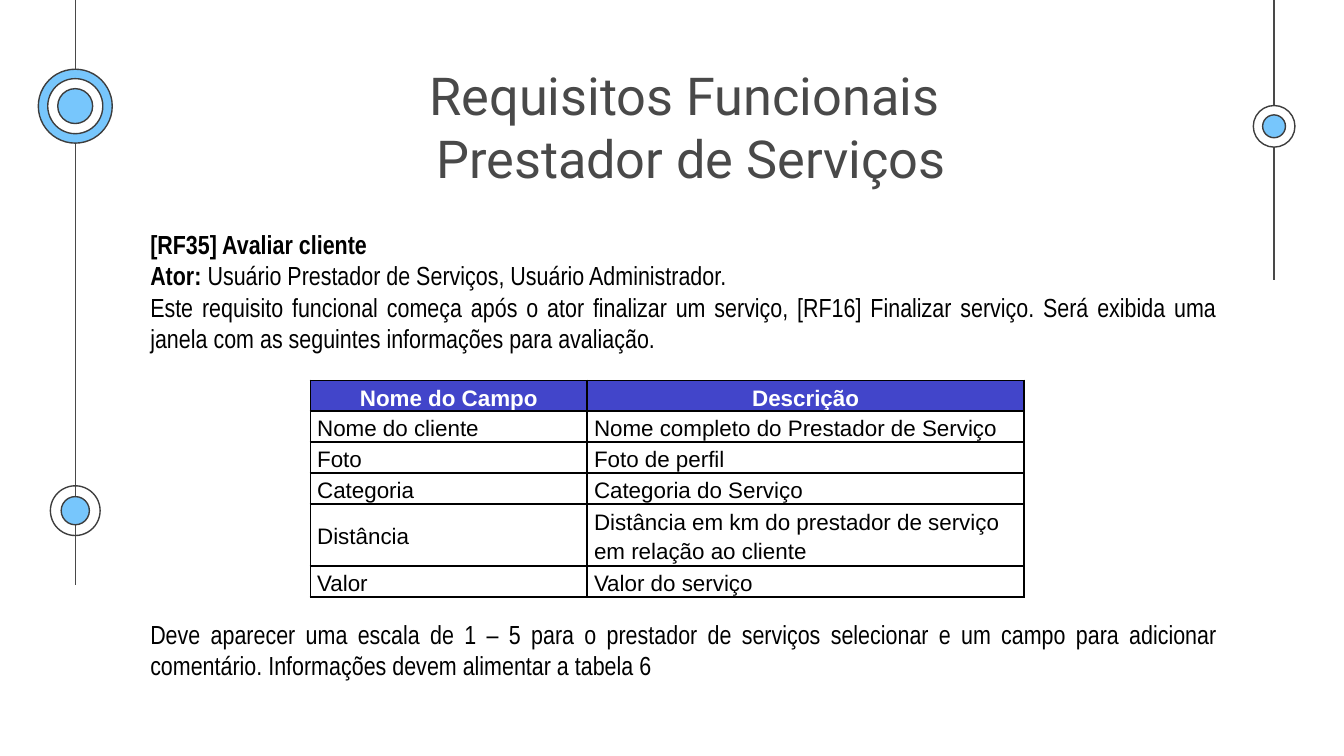
from dataclasses import dataclass

from lxml import etree
from pptx import Presentation
from pptx.dml.color import RGBColor
from pptx.enum.shapes import MSO_CONNECTOR, MSO_SHAPE
from pptx.enum.text import MSO_ANCHOR, MSO_AUTO_SIZE, PP_ALIGN
from pptx.oxml.ns import qn
from pptx.util import Inches, Pt

STRAIGHT = MSO_CONNECTOR.STRAIGHT
OVAL = MSO_SHAPE.OVAL
TOP, MIDDLE, BOTTOM = MSO_ANCHOR.TOP, MSO_ANCHOR.MIDDLE, MSO_ANCHOR.BOTTOM
NO_AUTOFIT, GROW = MSO_AUTO_SIZE.NONE, MSO_AUTO_SIZE.SHAPE_TO_FIT_TEXT
LEFT, CENTER, JUSTIFY = PP_ALIGN.LEFT, PP_ALIGN.CENTER, PP_ALIGN.JUSTIFY
TITLE_ONLY = 5
SLIDE_WIDTH = Inches(10)
SLIDE_HEIGHT = SLIDE_WIDTH * 9 // 16


@dataclass(frozen=True)
class Theme:
    gray: str = "494949"
    outline: str = "3D3D3D"
    sky: str = "77C6FC"
    header: str = "4245CA"
    white: str = "FFFFFF"
    black: str = "000000"
    title_font: str = "Roboto"
    body_font: str = "Arial Narrow"
    table_font: str = "Arial"
    title_size: int = 28
    body_size: int = 14
    table_size: int = 12
    stroke: float = 0.75
    border: float = 1


THEME = Theme()
LEFT_AXIS, RIGHT_AXIS = 0.56, 9.48
TIMELINES = [(LEFT_AXIS, 4.35), (RIGHT_AXIS, 2.08)]
NODES = [
    (LEFT_AXIS, 3.8, [(0.37, None), (0.21, THEME.sky)]),
    (RIGHT_AXIS, 0.94, [(0.31, THEME.white), (0.17, THEME.sky)]),
    (LEFT_AXIS, 0.79, [(0.55, THEME.sky), (0.41, THEME.white), (0.26, THEME.sky)]),
]
TITLE = "Requisitos Funcionais \vPrestador de Serviços"
REQUIREMENT = [
    [("[RF35] Avaliar cliente", True)],
    [("Ator: ", True), ("Usuário Prestador de Serviços, Usuário Administrador.", False)],
    [("Este requisito funcional começa após o ator finalizar um serviço, [RF16] Finalizar "
      "serviço. Será exibida uma janela com as seguintes informações para avaliação. ", False)],
]
RATING = [
    [("Deve aparecer uma escala de 1 – 5 para o prestador de serviços selecionar e um campo "
      "para adicionar comentário. Informações devem alimentar a tabela 6", False)],
]
FIELDS = [
    ("Nome do Campo", "Descrição"),
    ("Nome do cliente", "Nome completo do Prestador de Serviço"),
    ("Foto", "Foto de perfil"),
    ("Categoria", "Categoria do Serviço"),
    ("Distância", "Distância em km do prestador de serviço em relação ao cliente"),
    ("Valor", "Valor do serviço"),
]
COLUMN_WIDTHS = [2.06, 3.25]
ROW_HEIGHTS = [0.21, 0.21, 0.21, 0.21, 0.42, 0.21]


def apply(target, formats):
    for name, value in formats.items():
        setattr(target, name, value)


def style_font(font, family, size, color, bold=False):
    apply(font, {"name": family, "size": Pt(size), "bold": bold})
    font.color.rgb = RGBColor.from_string(color)


def set_line(line, color):
    line.color.rgb = RGBColor.from_string(color)
    line.width = Pt(THEME.stroke)


def add_timeline(slide, x, bottom):
    timeline = slide.shapes.add_connector(STRAIGHT, Inches(x), 0, Inches(x), Inches(bottom))
    set_line(timeline.line, THEME.gray)
    etree.SubElement(timeline._element.spPr, qn("a:effectLst"))


def add_node(slide, x, y, rings):
    for diameter, color in rings:
        ring = slide.shapes.add_shape(
            OVAL, Inches(x - diameter / 2), Inches(y - diameter / 2),
            Inches(diameter), Inches(diameter))
        ring.shadow.inherit = False
        set_line(ring.line, THEME.outline)
        if color:
            ring.fill.solid()
            ring.fill.fore_color.rgb = RGBColor.from_string(color)
        else:
            ring.fill.background()


def fill_title(slide):
    title = slide.shapes.title
    apply(title, {"left": Inches(3.06), "top": Inches(0.37),
                  "width": Inches(4.16), "height": Inches(0.63)})
    frame = title.text_frame
    margins = dict.fromkeys(
        ["margin_left", "margin_top", "margin_right", "margin_bottom"], Inches(0.1))
    apply(frame, {"text": TITLE, "word_wrap": True, "auto_size": NO_AUTOFIT,
                  "vertical_anchor": TOP, **margins})
    heading = frame.paragraphs[0]
    apply(heading, {"alignment": CENTER, "line_spacing": 1.0})
    for run in heading.runs:
        style_font(run.font, THEME.title_font, THEME.title_size, THEME.gray)


def add_description(slide, top, height, paragraphs):
    frame = slide.shapes.add_textbox(
        Inches(1.02), Inches(top), Inches(8.14), Inches(height)).text_frame
    apply(frame, {"word_wrap": True, "auto_size": GROW})
    for index, passages in enumerate(paragraphs):
        paragraph = frame.add_paragraph() if index else frame.paragraphs[0]
        paragraph.alignment = JUSTIFY
        for wording, bold in passages:
            run = paragraph.add_run()
            run.text = wording
            style_font(run.font, THEME.body_font, THEME.body_size, THEME.black, bold)


def add_borders(cell):
    properties = cell._tc.get_or_add_tcPr()
    for index, side in enumerate(["a:lnL", "a:lnR", "a:lnT", "a:lnB"]):
        border = etree.Element(qn(side), w=str(Pt(THEME.border)))
        solid = etree.SubElement(border, qn("a:solidFill"))
        etree.SubElement(solid, qn("a:srgbClr"), val=THEME.black)
        properties.insert(index, border)


def fill_cell(cell, wording, is_header):
    apply(cell, {"text": wording, "vertical_anchor": BOTTOM if is_header else MIDDLE,
                 "margin_left": Inches(0.05), "margin_right": Inches(0.05),
                 "margin_top": 0, "margin_bottom": 0})
    paragraph = cell.text_frame.paragraphs[0]
    apply(paragraph, {"alignment": CENTER if is_header else LEFT, "line_spacing": 1.15})
    style_font(paragraph.runs[0].font, THEME.table_font, THEME.table_size,
               THEME.white if is_header else THEME.black, is_header)
    if is_header:
        cell.fill.solid()
        cell.fill.fore_color.rgb = RGBColor.from_string(THEME.header)
    else:
        cell.fill.background()
    add_borders(cell)


def add_fields_table(slide):
    table = slide.shapes.add_table(
        len(FIELDS), len(COLUMN_WIDTHS), Inches(2.31), Inches(2.83),
        Inches(sum(COLUMN_WIDTHS)), Inches(sum(ROW_HEIGHTS))).table
    apply(table, {"first_row": False, "horz_banding": False})
    for column, width in zip(table.columns, COLUMN_WIDTHS):
        column.width = Inches(width)
    for index, (row, height, wordings) in enumerate(zip(table.rows, ROW_HEIGHTS, FIELDS)):
        row.height = Inches(height)
        for cell, wording in zip(row.cells, wordings):
            fill_cell(cell, wording, index == 0)


def main():
    deck = Presentation()
    apply(deck, {"slide_width": SLIDE_WIDTH, "slide_height": SLIDE_HEIGHT})
    slide = deck.slides.add_slide(deck.slide_layouts[TITLE_ONLY])
    for x, bottom in TIMELINES:
        add_timeline(slide, x, bottom)
    for x, y, rings in NODES:
        add_node(slide, x, y, rings)
    fill_title(slide)
    add_description(slide, 1.65, 1.51, REQUIREMENT)
    add_description(slide, 4.55, 0.81, RATING)
    add_fields_table(slide)
    deck.save("out.pptx")


if __name__ == "__main__":
    main()
